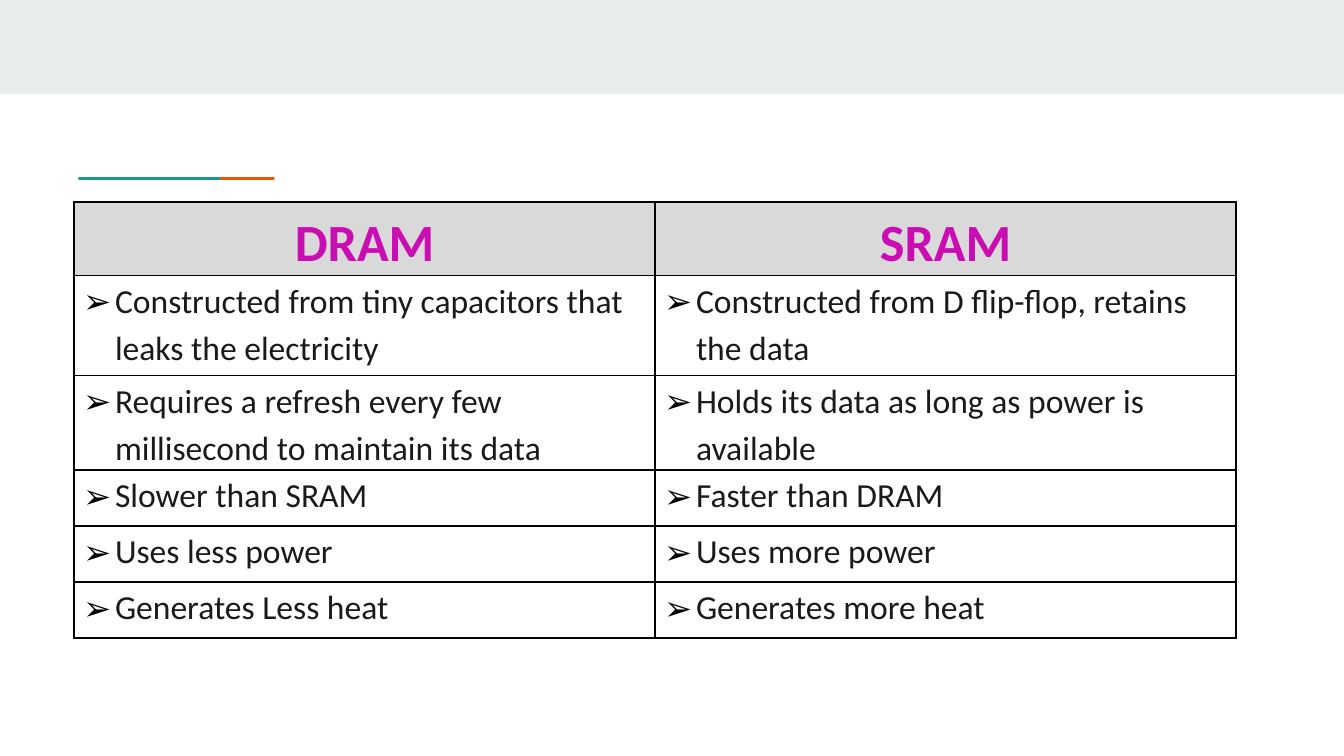
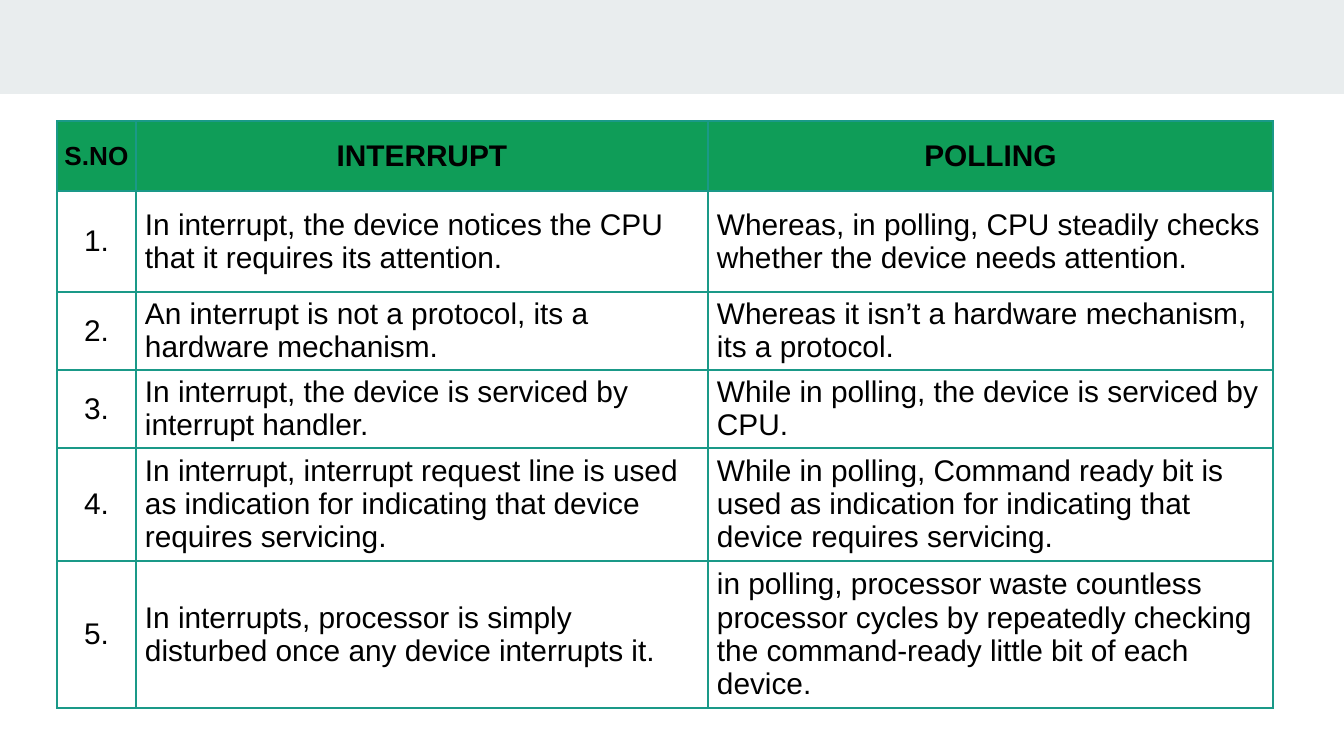
"""Build two comparison slides: DRAM and SRAM, interrupt and polling."""
from dataclasses import dataclass

from lxml import etree
from pptx import Presentation
from pptx import util as u
from pptx.dml.color import RGBColor
from pptx.enum import shapes, text
from pptx.oxml.ns import qn

EMU_PER_PX = 914400 / 134.4
SLIDE_SIZE = (1344, 756)
BAND_BOX = (0, 0, 1344, 94)

MEMORY_ROWS = [
    ("DRAM", "SRAM"),
    ("Constructed from tiny capacitors that leaks the electricity",
     "Constructed from D flip-flop, retains the data"),
    ("Requires a refresh every few millisecond to maintain its data",
     "Holds its data as long as power is available"),
    ("Slower than SRAM", "Faster than DRAM"),
    ("Uses less power", "Uses more power"),
    ("Generates Less heat", "Generates more heat"),
]

SERVICE_HEADER = ("S.NO", "INTERRUPT", "POLLING")
SERVICE_PAIRS = [
    ("In interrupt, the device notices the CPU that it requires its attention.",
     "Whereas, in polling, CPU steadily checks whether the device needs attention."),
    ("An interrupt is not a protocol, its a hardware mechanism.",
     "Whereas it isn’t a hardware mechanism, its a protocol."),
    ("In interrupt, the device is serviced by interrupt handler.",
     "While in polling, the device is serviced by CPU."),
    ("In interrupt, interrupt request line is used as indication for indicating "
     "that device requires servicing.",
     "While in polling, Command ready bit is used as indication for indicating "
     "that device requires servicing."),
    ("In interrupts, processor is simply disturbed once any device interrupts it.",
     "in polling, processor waste countless processor cycles by repeatedly checking "
     "the command-ready little bit of each device."),
]
SERVICE_ROWS = [SERVICE_HEADER] + [
    (f"{number}.", *pair) for number, pair in enumerate(SERVICE_PAIRS, 1)]

MEMORY_GRID = {"origin": (74, 202), "columns": [581, 581],
               "rows": [63, 100, 93, 56, 56, 56]}
SERVICE_GRID = {"origin": (57, 121), "columns": [79, 572, 565],
                "rows": [70, 101, 78, 78, 113, 147]}


@dataclass(frozen=True)
class Theme:
    """Colours, fonts and type sizes."""
    band: str = "E9EDEE"
    orange: str = "EB5600"
    teal: str = "1A9988"
    green: str = "0F9D58"
    grey: str = "D9D9D9"
    white: str = "FFFFFF"
    black: str = "000000"
    ink: str = "1A1A1A"
    magenta: str = "C90DB3"
    memory_font: str = "Calibri"
    service_font: str = "Arial"
    memory_header: int = 28
    memory_body: int = 18
    service_number: int = 14
    service_body: int = 16


THEME = Theme()
ACCENTS = [((200, 107, 7, 142), THEME.orange), ((146, 107, 7, 142), THEME.teal)]
ACCENT_TOP, ACCENT_HEIGHT = 151, 55


def px(length):
    """Turn pixels into EMU."""
    return u.Emu(round(length * EMU_PER_PX))


def add_bar(parent, box, color):
    """Draw a plain filled rectangle on a slide or in a group."""
    shape = parent.shapes.add_shape(shapes.MSO_SHAPE.RECTANGLE, *map(px, box))
    shape.shadow.inherit = False
    shape.fill.solid()
    shape.fill.fore_color.rgb = RGBColor.from_string(color)
    shape.line.fill.background()
    return shape


def add_accent(slide):
    """Draw the two-colour rule as turned bars in a flattened group."""
    group = slide.shapes.add_group_shape()
    for box, color in ACCENTS:
        add_bar(group, box, color).rotation = 270
    group.top, group.height = px(ACCENT_TOP), px(ACCENT_HEIGHT)


def add_slide(presentation):
    """Add a blank slide with the top band and the accent rule."""
    slide = presentation.slides.add_slide(presentation.slide_layouts[6])
    add_bar(slide, BAND_BOX, THEME.band)
    add_accent(slide)
    return slide


def set_borders(cell, color):
    """Give a cell four one-point borders."""
    properties = cell._tc.get_or_add_tcPr()
    for index, side in enumerate(("a:lnL", "a:lnR", "a:lnT", "a:lnB")):
        line = etree.Element(qn(side), w=str(u.Pt(1)))
        fill = etree.SubElement(line, qn("a:solidFill"))
        etree.SubElement(fill, qn("a:srgbClr"), val=color)
        properties.insert(index, line)


def set_bullet(paragraph):
    """Give a paragraph an arrowhead bullet with a hanging indent."""
    properties = paragraph._p.get_or_add_pPr()
    properties.set("marL", str(px(32)))
    properties.set("indent", str(-px(32)))
    color = etree.SubElement(properties, qn("a:buClr"))
    etree.SubElement(color, qn("a:srgbClr"), val=THEME.black)
    etree.SubElement(properties, qn("a:buFont"), typeface=THEME.service_font)
    etree.SubElement(properties, qn("a:buChar"), char="➢")


def fill_cell(cell, content, font, size, color, border, fill=None, bold=False,
              centred=False, middle=False, insets=(9, 0), spacing=None, bullet=False):
    """Write and format one table cell."""
    cell.margin_left = cell.margin_right = px(insets[0])
    cell.margin_top = cell.margin_bottom = px(insets[1])
    cell.vertical_anchor = text.MSO_ANCHOR.MIDDLE if middle else text.MSO_ANCHOR.TOP
    if fill:
        cell.fill.solid()
        cell.fill.fore_color.rgb = RGBColor.from_string(fill)
    else:
        cell.fill.background()
    set_borders(cell, border)
    paragraph = cell.text_frame.paragraphs[0]
    paragraph.text = content
    paragraph.alignment = text.PP_ALIGN.CENTER if centred else text.PP_ALIGN.LEFT
    if spacing:
        paragraph.line_spacing = spacing
    if bullet:
        set_bullet(paragraph)
    run_font = paragraph.runs[0].font
    run_font.name = font
    run_font.size = u.Pt(size)
    run_font.bold = bold
    run_font.color.rgb = RGBColor.from_string(color)


def memory_style(row, column):
    """Return the cell format of the memory table."""
    style = {"font": THEME.memory_font, "border": THEME.black, "spacing": 1.15}
    if row == 0:
        return style | {"size": THEME.memory_header, "color": THEME.magenta,
                        "fill": THEME.grey, "bold": True, "centred": True}
    return style | {"size": THEME.memory_body, "color": THEME.ink, "bullet": True}


def service_style(row, column):
    """Return the cell format of the interrupt and polling table."""
    header = row == 0
    return {
        "font": THEME.service_font, "color": THEME.black, "border": THEME.teal,
        "size": THEME.service_number if header and column == 0 else THEME.service_body,
        "fill": THEME.green if header else THEME.white,
        "bold": header, "centred": header or column == 0, "middle": True,
        "insets": (5, 5) if header else (9, 5),
    }


def add_grid(slide, rows, grid, style):
    """Add a table whose cells follow a style rule."""
    widths, heights = grid["columns"], grid["rows"]
    box = (*grid["origin"], sum(widths), sum(heights))
    table = slide.shapes.add_table(len(heights), len(widths), *map(px, box)).table
    table.first_row = table.horz_banding = False
    for column, width in zip(table.columns, widths):
        column.width = px(width)
    for row, height in zip(table.rows, heights):
        row.height = px(height)
    for r, row in enumerate(rows):
        for c, content in enumerate(row):
            fill_cell(table.cell(r, c), content, **style(r, c))


def main():
    """Build and save the presentation."""
    presentation = Presentation()
    presentation.slide_width, presentation.slide_height = map(px, SLIDE_SIZE)
    add_grid(add_slide(presentation), MEMORY_ROWS, MEMORY_GRID, memory_style)
    add_grid(add_slide(presentation), SERVICE_ROWS, SERVICE_GRID, service_style)
    presentation.save("out.pptx")


if __name__ == "__main__":
    main()
